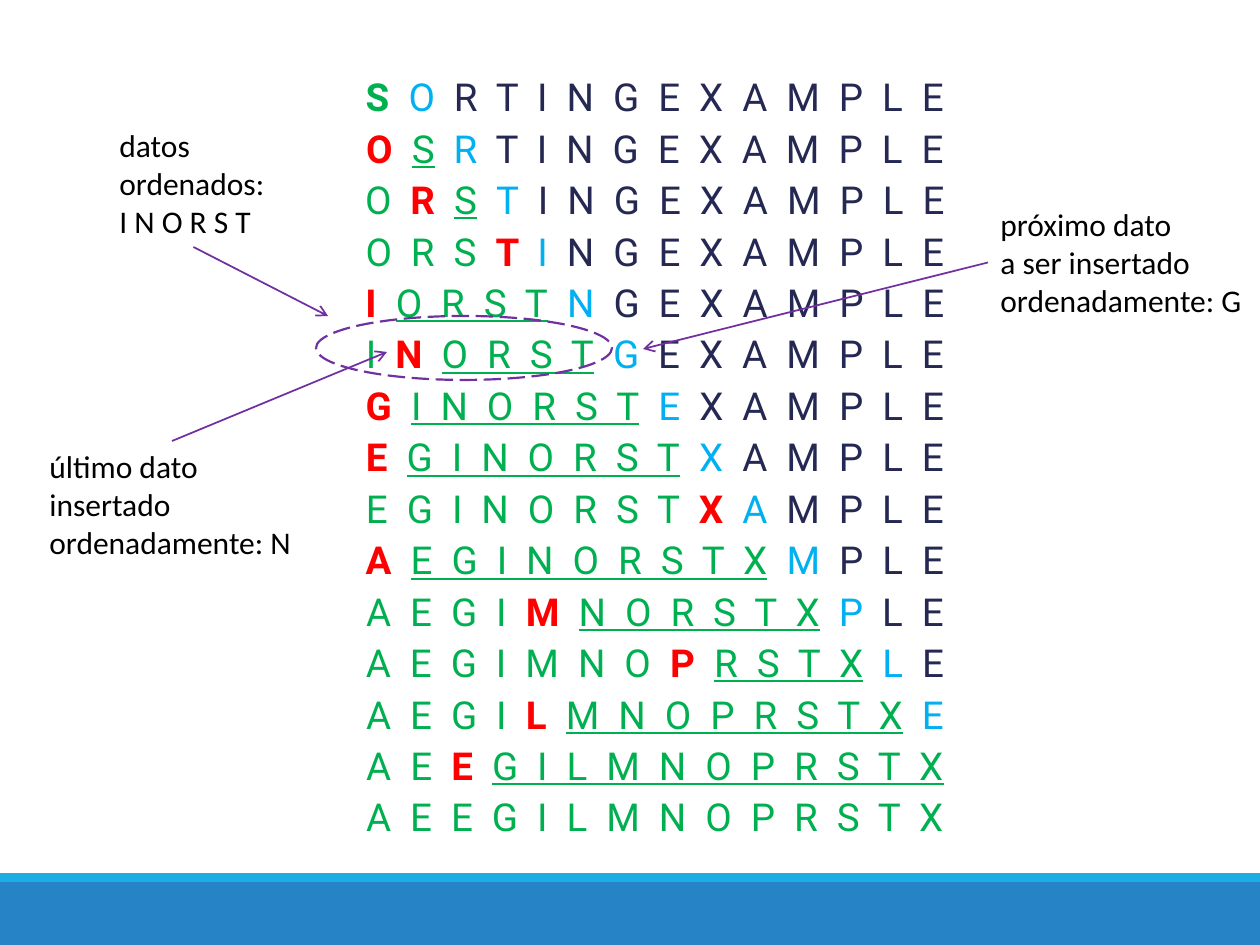
from lxml.etree import SubElement
from pptx import Presentation
from pptx.dml.color import RGBColor
from pptx.enum.dml import MSO_LINE_DASH_STYLE as Dash
from pptx.enum.shapes import MSO_CONNECTOR, MSO_SHAPE
from pptx.enum.text import MSO_AUTO_SIZE, PP_ALIGN
from pptx.oxml.ns import qn
from pptx.util import Emu, Pt

PX = 914400 / 126  # EMU in one px
SLIDE_W, SLIDE_H = 1260, 945

GREEN = RGBColor(0x00, 0xB0, 0x50)
RED = RGBColor(0xFF, 0x00, 0x00)
SKY = RGBColor(0x00, 0xB0, 0xF0)
NAVY = RGBColor(0x24, 0x28, 0x52)
PURPLE = RGBColor(0x70, 0x30, 0xA0)
BLACK = RGBColor(0x00, 0x00, 0x00)
BAR_BLUE = RGBColor(0x26, 0x83, 0xC6)
BAR_CYAN = RGBColor(0x1C, 0xAD, 0xE4)

GAP = "  "
LETTERS = "SORTINGEXAMPLE"

# Run formats by the role a letter plays in a sorting step
FIRST = {"color": GREEN, "bold": True}
SORTED = {"color": GREEN}
INSERTED = {"color": RED, "bold": True}
SHIFTED = {"color": GREEN, "underline": True}
NEXT = {"color": SKY}
PENDING = {"color": NAVY}

# Text, box, side its arrow leaves from (0 top, 1 left, 2 bottom), arrow tip
CALLOUTS = [
    (("datos", "ordenados:", "I N O R S T"), (107, 120, 173, 127), 2, (328, 316)),
    (("último dato", "insertado", "ordenadamente: N"), (37, 441, 270, 127), 0, (387, 352)),
    (("próximo dato", "a ser insertado", "ordenadamente: G"), (988, 199, 270, 127), 1, (643, 349)),
]


def px(*lengths):
    return [Emu(round(length * PX)) for length in lengths]


def add_run(paragraph, text, font, size, color, **attributes):
    run = paragraph.add_run()
    run.text = text
    run.font.color.rgb = color
    for name, value in {"name": font, "size": Pt(size), **attributes}.items():
        setattr(run.font, name, value)


def spaced(letters):
    return GAP.join(letters)


def insertion_steps(letters):
    """Yield each row of the insertion sort as a list of (text, format)."""
    done = []
    for i, letter in enumerate(letters):
        spot = sum(other <= letter for other in done)
        before, after = done[:spot], done[spot:]
        upcoming, pending = letters[i + 1:i + 2], letters[i + 2:]
        row = []
        if before:
            row.append((spaced(before) + GAP, SORTED))
        row.append((letter + GAP, INSERTED if done else FIRST))
        if after:
            row.append((spaced(after), SHIFTED))
        if after and upcoming:
            row.append((GAP, PENDING))
        if upcoming:
            row.append((upcoming, NEXT))
        if pending:
            row.append((GAP + spaced(pending), PENDING))
        yield row
        done.insert(spot, letter)
    yield [(spaced(done), SORTED)]


def add_trace(slide, box):
    frame = slide.shapes.add_textbox(*px(*box)).text_frame
    frame.word_wrap = True
    for i, row in enumerate(insertion_steps(LETTERS)):
        line = frame.paragraphs[0] if i == 0 else frame.add_paragraph()
        line.alignment = PP_ALIGN.CENTER
        line.space_before = Pt(3)
        line.line_spacing = Pt(26.4)
        for text, style in row:
            add_run(line, text, "Roboto", 22, **style)


def add_sorted_ring(slide, box):
    ring = slide.shapes.add_shape(MSO_SHAPE.OVAL, *px(*box))
    ring.shadow.inherit = False
    ring.fill.background()
    ring.line.color.rgb = PURPLE
    ring.line.width = Pt(1.25)
    ring.line.dash_style = Dash.LONG_DASH


def add_callout(slide, lines, box, side, tip):
    left, top, width, height = box
    label = slide.shapes.add_textbox(*px(*box))
    frame = label.text_frame
    frame.word_wrap = False
    frame.auto_size = MSO_AUTO_SIZE.SHAPE_TO_FIT_TEXT
    for i, text in enumerate(lines):
        line = frame.paragraphs[0] if i == 0 else frame.add_paragraph()
        add_run(line, text, "Calibri", 18, BLACK)

    # Arrow from the label to the letters it explains
    arrow = slide.shapes.add_connector(MSO_CONNECTOR.STRAIGHT, *px(left, top, *tip))
    arrow.begin_connect(label, side)
    arrow.line.color.rgb = PURPLE
    arrow.line.width = Pt(1)
    SubElement(arrow.line._get_or_add_ln(), qn("a:tailEnd"), type="arrow")
    SubElement(arrow._element.spPr, qn("a:effectLst"))


def add_footer(slide, box):
    left, top, width, height = box
    stripe = 9
    bars = [(top + stripe, height - stripe, BAR_BLUE), (top, stripe, BAR_CYAN)]
    for bar_top, bar_height, color in bars:
        bar = slide.shapes.add_shape(
            MSO_SHAPE.RECTANGLE, *px(left, bar_top, width, bar_height))
        bar.shadow.inherit = False
        bar.fill.solid()
        bar.fill.fore_color.rgb = color
        bar.line.fill.background()


def main():
    deck = Presentation()
    deck.slide_width, deck.slide_height = px(SLIDE_W, SLIDE_H)
    slide = deck.slides.add_slide(deck.slide_layouts[6])
    add_footer(slide, (0, 873, SLIDE_W, 72))
    add_trace(slide, (200, 67, 910, 786))
    add_sorted_ring(slide, (316, 316, 296, 64))
    for callout in CALLOUTS:
        add_callout(slide, *callout)
    deck.save("out.pptx")


if __name__ == "__main__":
    main()
